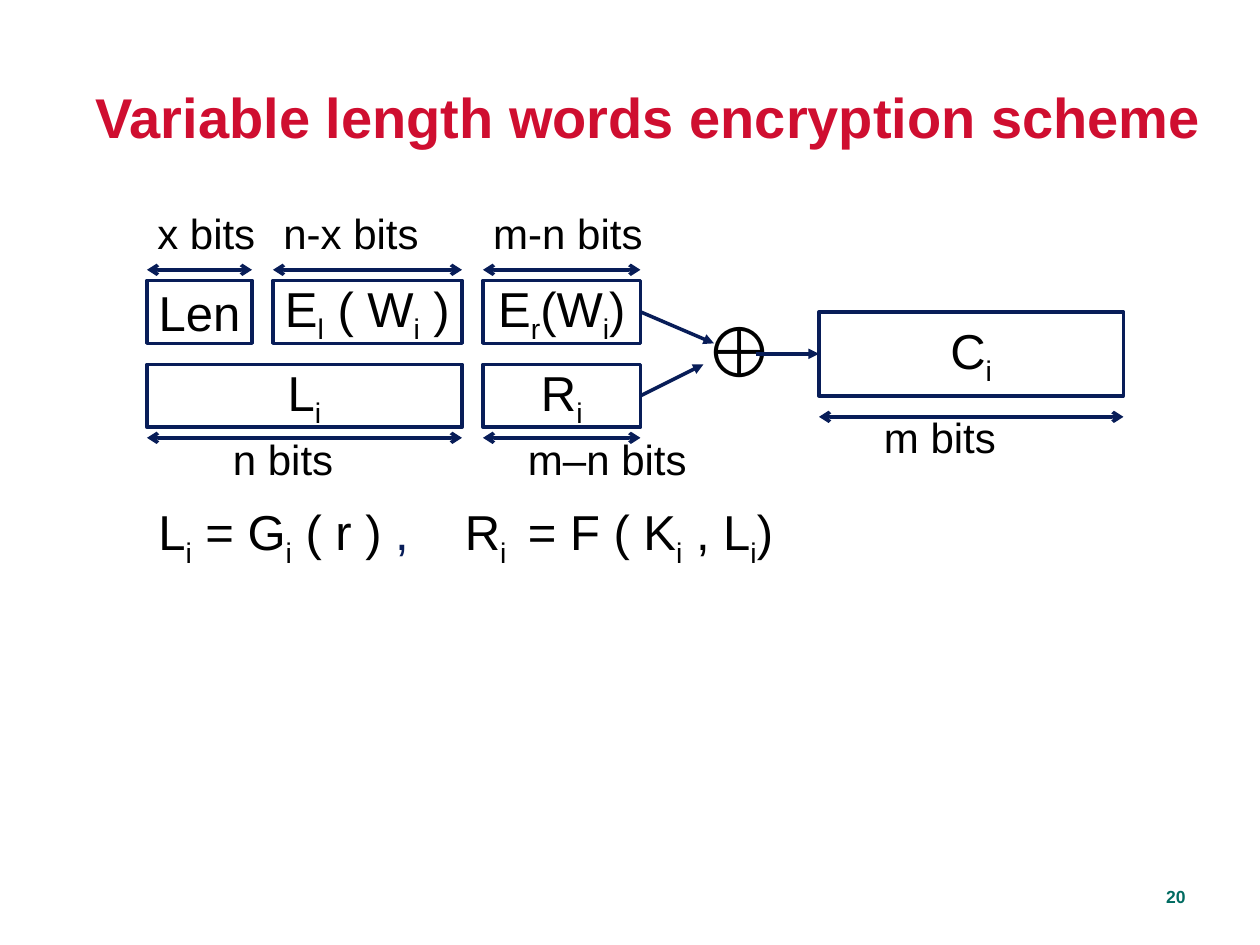
import dataclasses

import lxml.etree
import pptx
import pptx.dml.color
import pptx.enum.shapes
import pptx.enum.text
import pptx.oxml.ns
import pptx.util

PX = 7620
ALIGN = pptx.enum.text.PP_ALIGN
ANCHOR = pptx.enum.text.MSO_ANCHOR


@dataclasses.dataclass(frozen=True)
class Theme:
    font: str = "Arial"
    ink: str = "000000"
    navy: str = "081D58"
    red: str = "CF0E30"
    green: str = "006B61"
    paper: str = "FFFFFF"
    title: int = 32
    symbol: int = 40
    formula: int = 28
    label: int = 24
    number: int = 10
    stroke: int = 2


T = Theme()


def rgb(value):
    return pptx.dml.color.RGBColor.from_string(value)


def emu(*lengths):
    return [pptx.util.Emu(length * PX) for length in lengths]


def write(tf, *parts, size=T.label, color=T.ink, bold=False,
          align=ALIGN.LEFT, anchor=ANCHOR.TOP, spacing=None):
    tf.word_wrap = False
    tf.auto_size = pptx.enum.text.MSO_AUTO_SIZE.NONE
    tf.vertical_anchor = anchor
    p = tf.paragraphs[0]
    p.alignment = align
    if spacing:
        p.line_spacing = spacing
    for part in parts:
        text, tint = part if isinstance(part, tuple) else (part, color)
        for i, piece in enumerate(text.replace("}", "{").split("{")):
            if not piece:
                continue
            r = p.add_run()
            r.text = piece
            r.font.name = T.font
            r.font.size = pptx.util.Pt(size)
            r.font.bold = bold
            r.font.color.rgb = rgb(tint)
            if i % 2:
                r._r.get_or_add_rPr().set("baseline", "-25000")


def add_text(s, box, *parts, **fmt):
    write(s.shapes.add_textbox(*emu(*box)).text_frame, *parts, **fmt)


def add_block(s, box, text):
    sp = s.shapes.add_shape(pptx.enum.shapes.MSO_SHAPE.RECTANGLE, *emu(*box))
    sp.shadow.inherit = False
    sp.fill.solid()
    sp.fill.fore_color.rgb = rgb(T.paper)
    sp.line.color.rgb = rgb(T.navy)
    sp.line.width = pptx.util.Pt(T.stroke)
    write(sp.text_frame, text, size=T.formula, align=ALIGN.CENTER, anchor=ANCHOR.MIDDLE)
    return sp


def add_arrow(s, x1, y1, x2, y2, head=None, tail="triangle"):
    c = s.shapes.add_connector(
        pptx.enum.shapes.MSO_CONNECTOR.STRAIGHT, *emu(x1, y1, x2, y2))
    c.line.color.rgb = rgb(T.navy)
    c.line.width = pptx.util.Pt(T.stroke)
    ln = c.line._get_or_add_ln()
    for tag, kind in (("a:headEnd", head), ("a:tailEnd", tail)):
        if kind:
            lxml.etree.SubElement(ln, pptx.oxml.ns.qn(tag), type=kind)
    lxml.etree.SubElement(c._element.spPr, pptx.oxml.ns.qn("a:effectLst"))
    return c


def add_measure(s, x, y, w):
    add_arrow(s, x, y, x + w, y, head="arrow", tail="arrow")


def add_title(s, box, text):
    sp = s.shapes.title
    sp.left, sp.top, sp.width, sp.height = emu(*box)
    write(sp.text_frame, text, size=T.title, color=T.red, bold=True)


def add_word_rows(s, x, y):
    columns = [
        (0, 100, "Len", "x bits", -2, 118),
        (120, 180, "E{l} ( W{i} )", "n-x bits", -2, 152),
        (320, 150, "E{r}(W{i})", "m-n bits", -2, 166),
    ]
    keys = [
        (0, 300, "L{i}", "n bits", 70, 119),
        (320, 150, "R{i}", "m–n bits", 31, 175),
    ]
    rows = [(columns, 0, -10, -75), (keys, 80, 150, 140)]
    ends = []
    for cells, block_y, measure_y, label_y in rows:
        for dx, w, text, label, shift, label_w in cells:
            block = add_block(s, (x + dx, y + block_y, w, 60), text)
            add_measure(s, x + dx, y + measure_y, w)
            add_text(s, (x + dx + shift, y + label_y, label_w, 60), label)
        ends.append(block)
    return ends


def add_cipher(s, x, y):
    block = add_block(s, (x, y, 290, 80), "C{i}")
    add_measure(s, x, y + 100, 290)
    add_text(s, (x + 50, y + 89, 131, 60), "m bits")
    return block


def add_xor(s, x, y, word, key, cipher):
    add_text(s, (x, y, 77, 92), "⊕", size=T.symbol, bold=True)
    for source, dx, dy in ((word, 21, 40), (key, 11, 60)):
        c = add_arrow(s, x - 49, y, x + dx, y + dy)
        c.begin_connect(source, 3)
    c = add_arrow(s, x + 61, y + 50, x + 121, y + 50)
    c.end_connect(cipher, 1)


def add_formulas(s, x, y):
    add_text(s, (x, y, 274, 76), "L{i} = G{i} ( r )", (" ,", T.navy), size=T.formula)
    add_text(s, (x + 292, y, 312, 76), "R{i } = F ( K{i} , L{i})", size=T.formula)


def main():
    prs = pptx.Presentation()
    prs.slide_width, prs.slide_height = emu(1200, 900)
    s = prs.slides.add_slide(prs.slide_layouts[5])
    add_title(s, (79, 73, 1080, 77), "Variable length words encryption scheme")
    word, key = add_word_rows(s, 140, 267)
    cipher = add_cipher(s, 780, 297)
    add_xor(s, 659, 287, word, key, cipher)
    add_formulas(s, 139, 472)
    add_text(s, (910, 840, 231, 30), "20", size=T.number, color=T.green,
             bold=True, align=ALIGN.RIGHT, anchor=ANCHOR.MIDDLE, spacing=0.9)
    prs.save("out.pptx")


if __name__ == "__main__":
    main()
